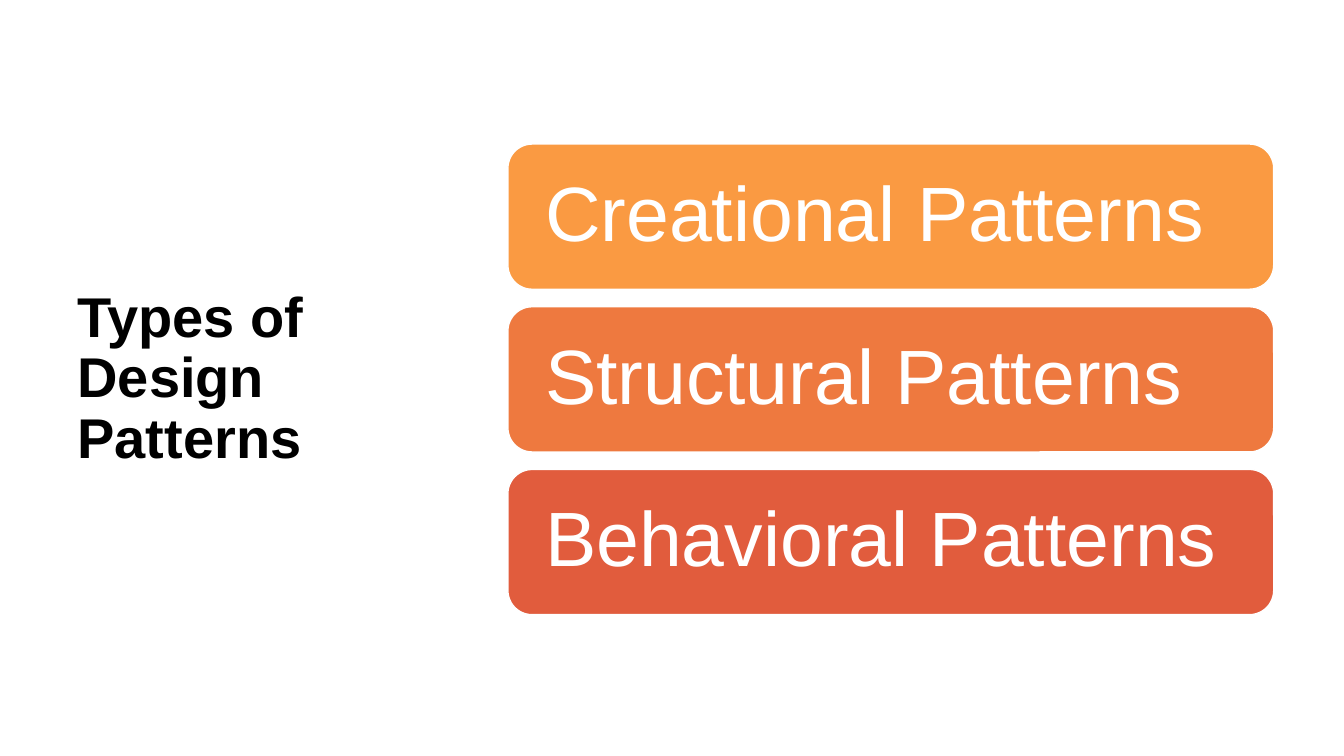
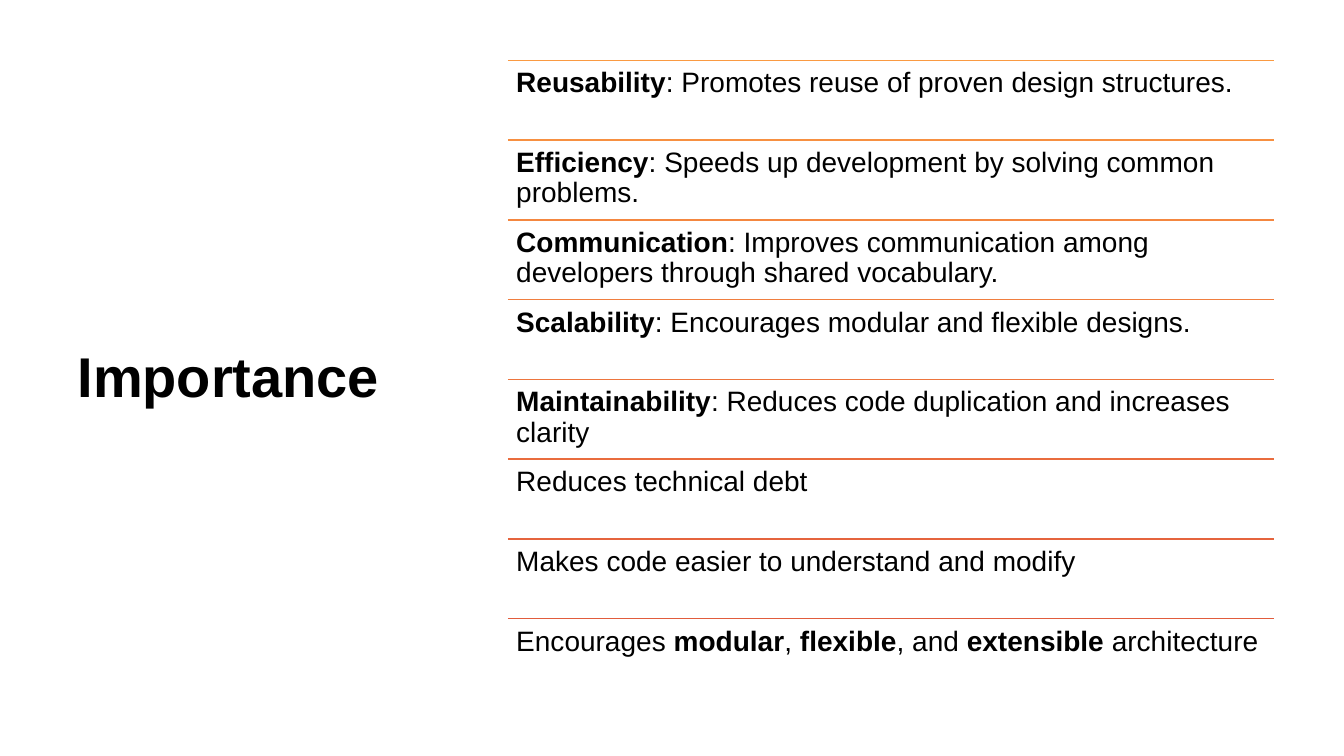
from pptx import Presentation
from pptx import util as u
from pptx.dml.color import RGBColor
from pptx.enum import shapes, text
from pptx.oxml.ns import qn
from lxml import etree

COLORS = {
    "title": "000000", "body": "000000", "paper": "FFFFFF",
    "creational": "FA9A42", "structural": "EE793F", "behavioral": "E15C3D",
    "rule_1": "FA9A42", "rule_2": "F79041", "rule_3": "F48740", "rule_4": "F07E3F",
    "rule_5": "ED753E", "rule_6": "E96C3E", "rule_7": "E5643D", "rule_8": "E15C3D",
}
FONT = "Arial"
TITLE_BOX = (1.7, 1.52, 9.7, 16.08)
CONTENT_BOX = (12.8, 1.52, 19.3, 16.08)
CARD_HEIGHT, CARD_GAP = 3.66, 0.44

CARDS = [
    ("Creational Patterns", "creational"),
    ("Structural Patterns", "structural"),
    ("Behavioral Patterns", "behavioral"),
]
BENEFITS = [
    [("Reusability", True), (": Promotes reuse of proven design structures.", False)],
    [("Efficiency", True), (": Speeds up development by solving common problems.", False)],
    [("Communication", True),
     (": Improves communication among developers through shared vocabulary.", False)],
    [("Scalability", True), (": Encourages modular and flexible designs.", False)],
    [("Maintainability", True), (": Reduces code duplication and increases clarity", False)],
    [("Reduces technical debt", False)],
    [("Makes code easier to understand and modify", False)],
    [("Encourages ", False), ("modular", True), (", ", False), ("flexible", True),
     (", and ", False), ("extensible", True), (" architecture", False)],
]


def color(name):
    """Return the named colour."""
    return RGBColor.from_string(COLORS[name])


def lengths(*values):
    """Convert centimetre values to lengths."""
    return [u.Cm(value) for value in values]


def set_insets(frame, inset):
    """Give a text frame the same margin on all sides."""
    frame.margin_left = frame.margin_right = u.Cm(inset)
    frame.margin_top = frame.margin_bottom = u.Cm(inset)


def style_paragraph(para, size, color_name, bold=None):
    """Apply the shared paragraph style."""
    para.alignment = text.PP_ALIGN.LEFT
    para.line_spacing = 0.9
    para.font.name = FONT
    para.font.size = u.Pt(size)
    para.font.bold = bold
    para.font.color.rgb = color(color_name)


def add_page(deck, title):
    """Add a slide with its title at the left."""
    page = deck.slides.add_slide(deck.slide_layouts[5])
    box = page.shapes.title
    box.left, box.top, box.width, box.height = lengths(*TITLE_BOX)
    frame = box.text_frame
    frame.text = title
    frame.word_wrap = True
    frame.auto_size = text.MSO_AUTO_SIZE.NONE
    frame.vertical_anchor = text.MSO_ANCHOR.MIDDLE
    style_paragraph(frame.paragraphs[0], 40, "title", True)
    return page


def add_cards(page, box, cards):
    """Stack rounded cards, centred vertically in the box."""
    left, top, width, height = box
    pitch = CARD_HEIGHT + CARD_GAP
    first = top + (height - len(cards) * pitch + CARD_GAP) / 2
    for index, (label, fill) in enumerate(cards):
        card = page.shapes.add_shape(
            shapes.MSO_SHAPE.ROUNDED_RECTANGLE,
            *lengths(left, first + index * pitch, width, CARD_HEIGHT))
        card.shadow.inherit = False
        card.fill.solid()
        card.fill.fore_color.rgb = color(fill)
        card.line.color.rgb = color("paper")
        card.line.width = u.Pt(1)
        frame = card.text_frame
        frame.text = label
        frame.word_wrap = True
        frame.vertical_anchor = text.MSO_ANCHOR.MIDDLE
        set_insets(frame, 0.76)
        style_paragraph(frame.paragraphs[0], 55, "paper")


def add_rule(page, left, top, width, color_name):
    """Draw a thin horizontal rule."""
    rule = page.shapes.add_connector(
        shapes.MSO_CONNECTOR.STRAIGHT, *lengths(left, top, left + width, top))
    rule.line.color.rgb = color(color_name)
    rule.line.width = u.Pt(1)
    etree.SubElement(rule.element.spPr, qn("a:effectLst"))


def add_ruled_list(page, box, rows):
    """Fill the box with equal rows, each under a rule."""
    left, top, width, height = box
    row_height = height / len(rows)
    for index, spans in enumerate(rows):
        row_top = top + index * row_height
        add_rule(page, left, row_top, width, f"rule_{index + 1}")
        row = page.shapes.add_textbox(*lengths(left, row_top, width, row_height))
        frame = row.text_frame
        frame.word_wrap = True
        set_insets(frame, 0.21)
        para = frame.paragraphs[0]
        style_paragraph(para, 20, "body")
        for wording, bold in spans:
            span = para.add_run()
            span.text = wording
            span.font.bold = bold


def main():
    """Build and save the deck."""
    deck = Presentation()
    deck.slide_width, deck.slide_height = lengths(33.87, 19.05)
    add_cards(add_page(deck, "Types of Design Patterns"), CONTENT_BOX, CARDS)
    add_ruled_list(add_page(deck, "Importance"), CONTENT_BOX, BENEFITS)
    deck.save("out.pptx")


if __name__ == "__main__":
    main()
